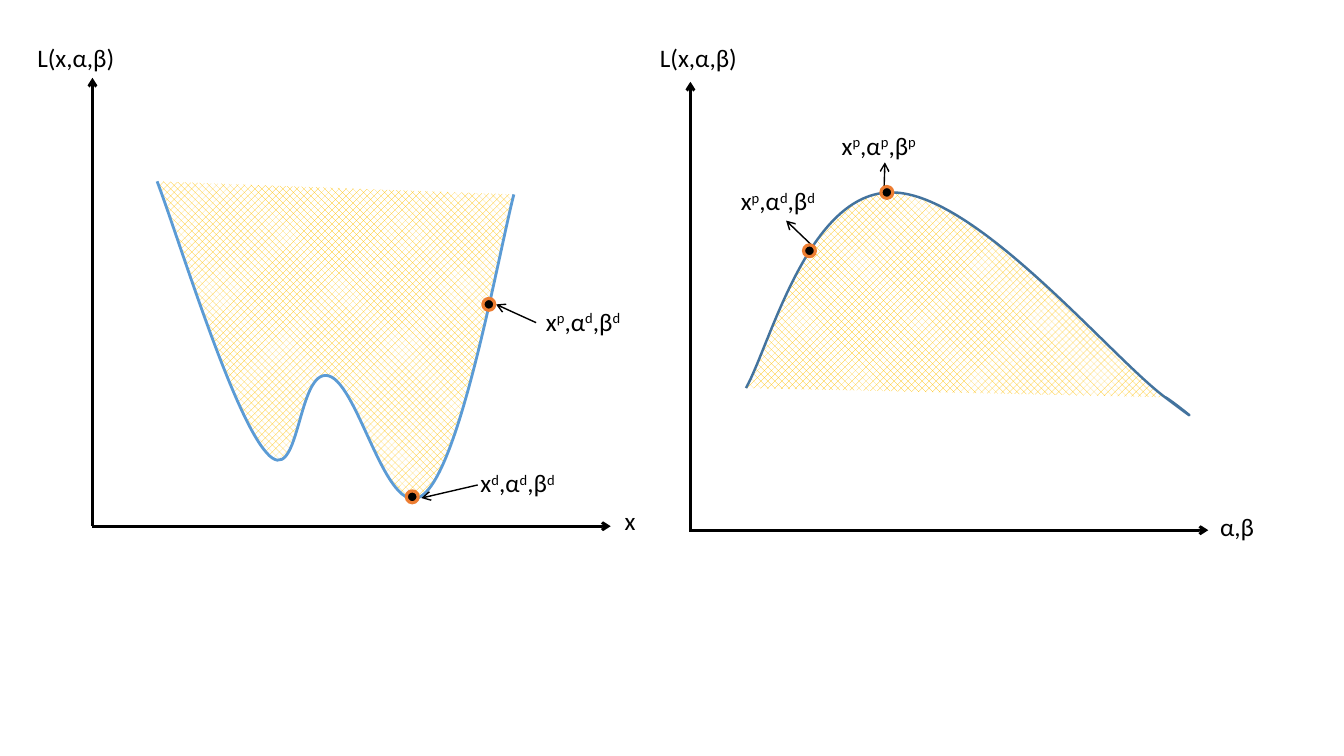
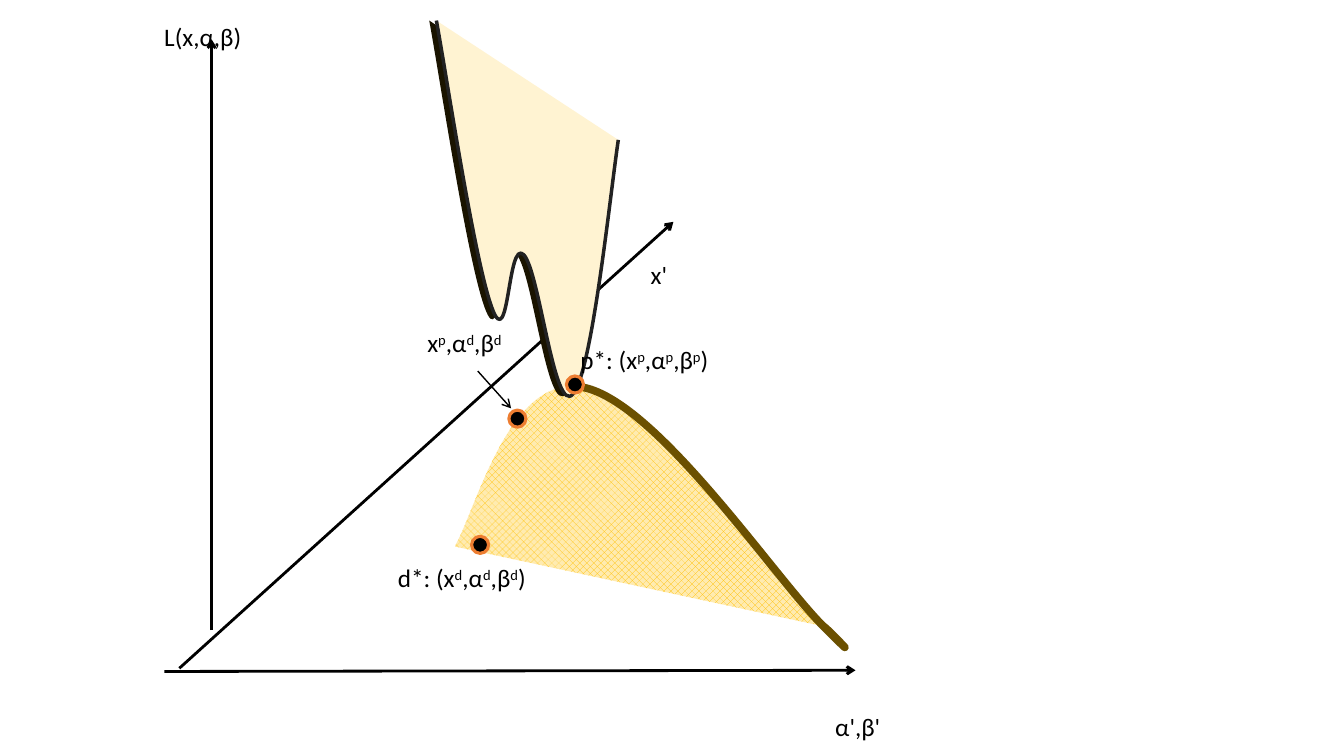
"""Build two slides on a saddle point: its two sections, then its spatial view."""
from dataclasses import dataclass

from lxml.etree import SubElement
from pptx import Presentation
from pptx.dml.color import RGBColor
from pptx.enum.dml import MSO_PATTERN
from pptx.enum.shapes import MSO_CONNECTOR, MSO_SHAPE
from pptx.enum.text import MSO_AUTO_SIZE
from pptx.oxml.ns import qn
from pptx.shapes.autoshape import Shape
from pptx.slide import Slide
from pptx.util import Cm, Pt

BLACK = RGBColor(0x00, 0x00, 0x00)
WHITE = RGBColor(0xFF, 0xFF, 0xFF)
ORANGE = RGBColor(0xED, 0x7D, 0x31)
GOLD = RGBColor(0xFF, 0xC0, 0x00)
LIGHT_GOLD = RGBColor(0xFF, 0xEB, 0xB0)
PALE_GOLD = RGBColor(0xFF, 0xF3, 0xD2)
BLUE = RGBColor(0x5B, 0x9B, 0xD5)
DARK_BLUE = RGBColor(0x43, 0x73, 0x9E)
CHARCOAL = RGBColor(0x22, 0x22, 0x22)
DARK_EDGE = RGBColor(0x1A, 0x14, 0x00)
BRONZE = RGBColor(0x6B, 0x50, 0x00)

HATCH = MSO_PATTERN.PERCENT_50
OVAL = MSO_SHAPE.OVAL
STRAIGHT = MSO_CONNECTOR.STRAIGHT
FIT_TEXT = MSO_AUTO_SIZE.SHAPE_TO_FIT_TEXT

FONT = "Calibri"
FONT_SIZE = 18
LABEL_HEIGHT = 1.02
AXIS_WIDTH = 2
POINTER_WIDTH = 1
STEPS = 24

Point = tuple[float, float]


@dataclass(frozen=True)
class Projection:
    """An affine view that moves an anchor, scales both axes and shears downwards."""
    anchor: Point
    target: Point
    scale: Point
    shear: float

    def apply(self, point: Point) -> Point:
        """Return the projected point."""
        across, down = point[0] - self.anchor[0], point[1] - self.anchor[1]
        return (self.target[0] + self.scale[0] * across,
                self.target[1] + self.scale[1] * down + self.shear * across)


@dataclass(frozen=True)
class Surface:
    """An area bounded by a smooth curve, stroked from one of its controls on."""
    controls: tuple[Point, ...]
    color: RGBColor
    line_color: RGBColor | None = None
    line_width: float = 0
    hatch_ground: RGBColor | None = None
    projection: Projection | None = None
    stroke_start: int = 0


@dataclass(frozen=True)
class Arrow:
    """A straight arrow."""
    start: Point
    end: Point
    width: float = AXIS_WIDTH


@dataclass(frozen=True)
class Label:
    """A formula whose superscripts stand between carets."""
    text: str
    left: float
    top: float
    width: float


@dataclass(frozen=True)
class Scene:
    """Everything on one slide, from back to front."""
    back_arrows: tuple[Arrow, ...]
    surfaces: tuple[Surface, ...]
    arrows: tuple[Arrow, ...]
    dots: tuple[Point, ...]
    dot_size: float
    labels: tuple[Label, ...]


VALLEY = ((3.96, 4.57), (4.5, 5.99), (5.84, 10.41), (6.71, 11.4),
          (7.57, 12.4), (7.47, 9.27), (8.28, 9.47),
          (9.07, 9.68), (9.78, 13.34), (10.72, 12.42),
          (11.66, 11.51), (12.55, 6.48), (12.95, 4.9))
HILL = ((18.8, 9.78), (19.41, 8.69), (20.37, 4.8), (22.5, 4.85),
        (24.61, 4.88), (27.99, 8.99), (29.36, 10.01),
        (30.73, 11.05), (29.39, 9.98), (29.36, 10.01))
HILL_PEAK = 3
VALLEY_FRONT = Projection((8.28, 9.47), (13.2, 6.42), (0.51, 0.94), 0.3)
VALLEY_BACK = Projection((8.28, 9.47), (13.02, 6.42), (0.51, 0.94), 0.3)
HILL_VIEW = Projection((18.8, 9.78), (11.46, 13.77), (0.88, 0.94), 0.17)

SECTIONS = Scene(
    back_arrows=(),
    surfaces=(Surface(VALLEY, GOLD, BLUE, 2, WHITE),
              Surface(HILL, GOLD, DARK_BLUE, 1.75, WHITE)),
    arrows=(Arrow((2.33, 13.26), (2.33, 1.96)),
            Arrow((2.31, 13.26), (15.39, 13.26)),
            Arrow((17.4, 13.36), (17.4, 2.06)),
            Arrow((17.37, 13.36), (30.45, 13.36)),
            Arrow((12.04, 12.22), (10.62, 12.55), POINTER_WIDTH),
            Arrow((22.28, 4.75), (22.3, 4.09), POINTER_WIDTH),
            Arrow((13.51, 8.13), (12.5, 7.67), POINTER_WIDTH),
            Arrow((20.5, 6.22), (19.81, 5.56), POINTER_WIDTH)),
    dots=((12.32, 7.67), (10.39, 12.52), (22.35, 4.85), (20.4, 6.32)),
    dot_size=0.3,
    labels=(Label("L(x,α,β)", 0.69, 0.94, 4.39),
            Label("x", 15.49, 12.62, 4.39),
            Label("L(x,α,β)", 16.38, 0.94, 4.39),
            Label("α,β", 30.5, 12.75, 2.46),
            Label("x^p^,α^d^,β^d", 13.51, 7.59, 2.84),
            Label("x^p^,α^d^,β^d", 18.42, 4.55, 2.84),
            Label("x^p^,α^p^,β^p", 20.96, 3.15, 3.81),
            Label("x^d^,α^d^,β^d", 11.86, 11.66, 2.84)),
)
SPATIAL_VIEW = Scene(
    back_arrows=(Arrow((4.52, 16.84), (16.97, 5.59)),),
    surfaces=(Surface(HILL, GOLD, BRONZE, 5.5, LIGHT_GOLD, HILL_VIEW, HILL_PEAK),
              Surface(VALLEY, DARK_EDGE, projection=VALLEY_BACK),
              Surface(VALLEY, PALE_GOLD, CHARCOAL, 2.5, projection=VALLEY_FRONT)),
    arrows=(Arrow((4.14, 16.92), (21.56, 16.89)),
            Arrow((5.33, 15.88), (5.33, 0.99)),
            Arrow((12.04, 9.35), (12.88, 10.29), POINTER_WIDTH)),
    dots=((12.1, 13.73), (13.04, 10.55), (14.49, 9.69)),
    dot_size=0.43,
    labels=(Label("α',β'", 20.8, 17.81, 1.83),
            Label("x'", 16.15, 6.4, 1.02),
            Label("L(x,α,β)", 3.89, 0.41, 2.95),
            Label("x^p^,α^d^,β^d", 10.52, 8.13, 3.07),
            Label("p*: (x^p^,α^p^,β^p^)", 14.38, 8.56, 4.27),
            Label("d*: (x^d^,α^d^,β^d^)", 9.78, 14.05, 4.27)),
)


def curve_extent(values: list[float]) -> tuple[float, float]:
    """Return the least and greatest value along a chain of cubic Bezier segments."""
    reached = []
    for first in range(0, len(values) - 1, 3):
        a, b, c, d = values[first:first + 4]
        for step in range(STEPS + 1):
            t = step / STEPS
            s = 1 - t
            reached.append(a * s ** 3 + 3 * b * s * s * t + 3 * c * s * t * t + d * t ** 3)
    return min(reached), max(reached)


def add_curve_path(path_list, size: Point, points: list[Point], **options: str) -> None:
    """Append one path of cubic Bezier segments to a freeform."""
    width, height = (str(Cm(length)) for length in size)
    path = SubElement(path_list, qn("a:path"), w=width, h=height, **options)
    commands = [("a:moveTo", points[:1])]
    commands += [("a:cubicBezTo", points[first:first + 3])
                 for first in range(1, len(points), 3)]
    for name, members in commands:
        command = SubElement(path, qn(name))
        for x, y in members:
            SubElement(command, qn("a:pt"), x=str(Cm(x)), y=str(Cm(y)))


def add_curve(slide: Slide, points: list[Point], stroke_start: int) -> Shape:
    """Add a freeform that fits a curve and strokes it from the given control on."""
    left, right = curve_extent([x for x, _ in points])
    top, bottom = curve_extent([y for _, y in points])
    builder = slide.shapes.build_freeform(Cm(left), Cm(top))
    builder.add_line_segments([(Cm(right), Cm(bottom))], close=False)
    shape = builder.convert_to_shape()
    path_list = next(shape._element.iter(qn("a:pathLst")))
    path_list.remove(path_list[0])
    size = (right - left, bottom - top)
    local = [(x - left, y - top) for x, y in points]
    if stroke_start:
        add_curve_path(path_list, size, local, stroke="0")
        add_curve_path(path_list, size, local[stroke_start:], fill="none")
    else:
        add_curve_path(path_list, size, local)
    return shape


def add_surface(slide: Slide, surface: Surface) -> None:
    """Add a hatched or plain surface."""
    points = list(surface.controls)
    if surface.projection:
        points = [surface.projection.apply(point) for point in points]
    shape = add_curve(slide, points, surface.stroke_start)
    shape.shadow.inherit = False
    if surface.hatch_ground is None:
        shape.fill.solid()
    else:
        shape.fill.patterned()
        shape.fill.pattern = HATCH
        shape.fill.back_color.rgb = surface.hatch_ground
    shape.fill.fore_color.rgb = surface.color
    if surface.line_color is None:
        shape.line.fill.background()
    else:
        shape.line.color.rgb = surface.line_color
        shape.line.width = Pt(surface.line_width)


def add_arrow(slide: Slide, arrow: Arrow) -> None:
    """Add a black connector with an open arrowhead at its end."""
    ends = [Cm(length) for length in arrow.start + arrow.end]
    connector = slide.shapes.add_connector(STRAIGHT, *ends)
    connector.line.color.rgb = BLACK
    connector.line.width = Pt(arrow.width)
    properties = connector._element.spPr
    SubElement(properties.find(qn("a:ln")), qn("a:tailEnd"), type="arrow")
    SubElement(properties, qn("a:effectLst"))


def add_dot(slide: Slide, center: Point, size: float) -> None:
    """Add a black dot with an orange ring."""
    left, top = (Cm(middle - size / 2) for middle in center)
    dot = slide.shapes.add_shape(OVAL, left, top, Cm(size), Cm(size))
    dot.shadow.inherit = False
    dot.fill.solid()
    dot.fill.fore_color.rgb = BLACK
    dot.line.color.rgb = ORANGE
    dot.line.width = Pt(2.25)


def add_label(slide: Slide, label: Label) -> None:
    """Add a formula, raising every second part."""
    box = slide.shapes.add_textbox(
        Cm(label.left), Cm(label.top), Cm(label.width), Cm(LABEL_HEIGHT))
    frame = box.text_frame
    frame.word_wrap = True
    frame.auto_size = FIT_TEXT
    paragraph = frame.paragraphs[0]
    for index, part in enumerate(label.text.split("^")):
        run = paragraph.add_run()
        run.text = part
        run.font.name = FONT
        run.font.size = Pt(FONT_SIZE)
        run.font.color.rgb = BLACK
        if index % 2:
            run._r.get_or_add_rPr().set("baseline", "30000")


def draw_scene(slide: Slide, scene: Scene) -> None:
    """Draw a scene from back to front."""
    for arrow in scene.back_arrows:
        add_arrow(slide, arrow)
    for surface in scene.surfaces:
        add_surface(slide, surface)
    for arrow in scene.arrows:
        add_arrow(slide, arrow)
    for center in scene.dots:
        add_dot(slide, center, scene.dot_size)
    for label in scene.labels:
        add_label(slide, label)


def main() -> None:
    """Build and save the presentation."""
    presentation = Presentation()
    presentation.slide_width = Cm(33.87)
    presentation.slide_height = Cm(19.05)
    blank_layout = presentation.slide_layouts[6]
    for scene in (SECTIONS, SPATIAL_VIEW):
        draw_scene(presentation.slides.add_slide(blank_layout), scene)
    presentation.save("out.pptx")


main()
